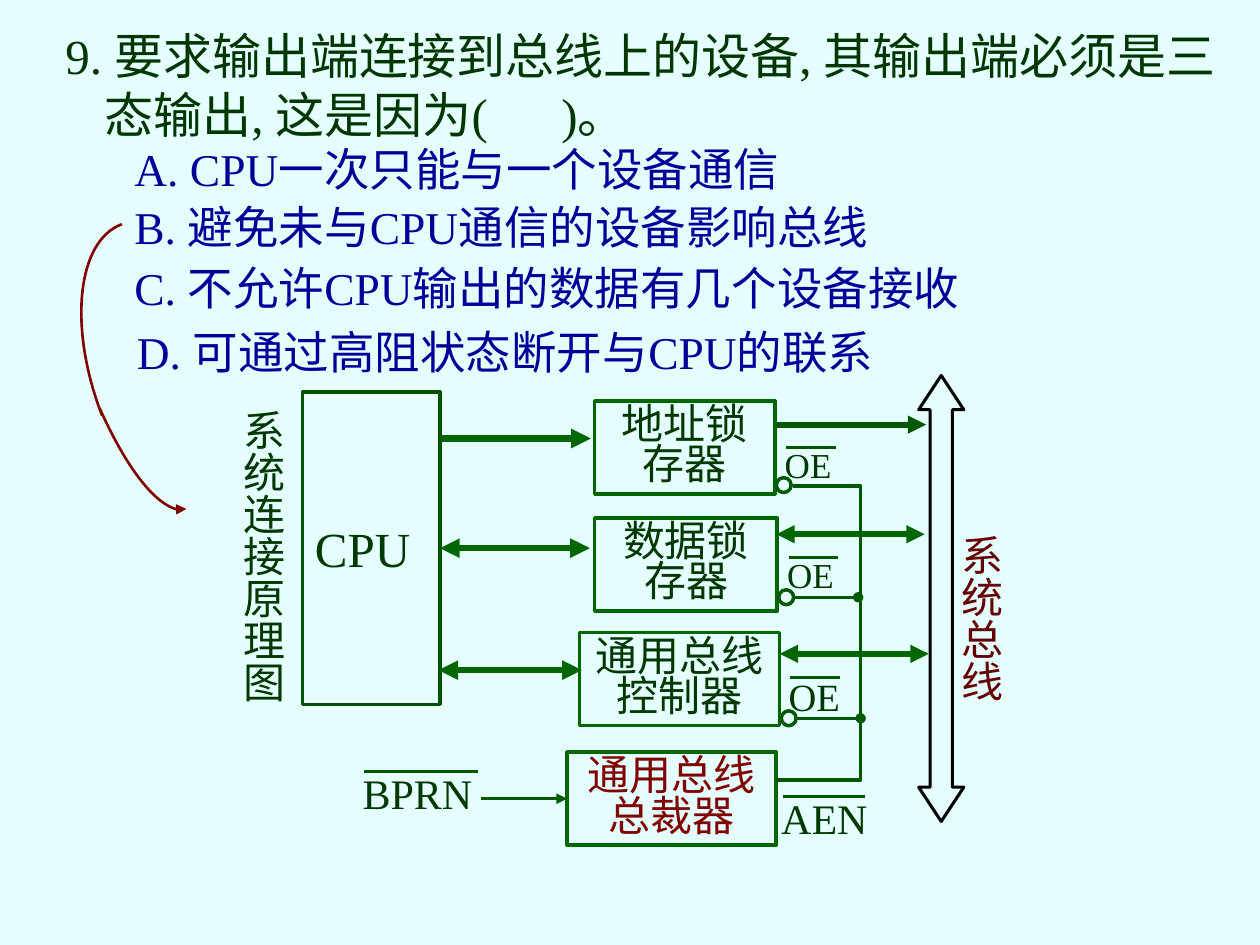
from lxml import etree
from pptx import Presentation, util as u
from pptx.dml.color import RGBColor
from pptx.enum import shapes, text
from pptx.oxml.ns import qn

FONT = "Times New Roman"
PALE, GREEN, DARK, INK = "E5FFFF", "006600", "005800", "003800"
BLUE, MAROON = "000099", "800000"


def color(value):
    return RGBColor.from_string(value)


def add_run(p, content, size, col):
    r = p.add_run()
    r.text = content
    r.font.size = u.Pt(size)
    r.font.name = FONT
    r.font.color.rgb = color(col)
    return r


def write(sp, content, size=24, col=INK, align=text.PP_ALIGN.LEFT, spacing=None,
          anchor=text.MSO_ANCHOR.TOP, vertical=False):
    """Put one formatted paragraph in a shape."""
    tf = sp.text_frame
    tf.word_wrap = True
    tf.auto_size = text.MSO_AUTO_SIZE.NONE
    tf.vertical_anchor = anchor
    tf.margin_left = tf.margin_right = u.Cm(0.13 if vertical else 0.25)
    tf.margin_top = tf.margin_bottom = u.Cm(0.25 if vertical else 0.13)
    if vertical:
        tf._txBody.bodyPr.set("vert", "eaVert")
    p = tf.paragraphs[0]
    p.alignment = align
    if spacing:
        p.line_spacing = spacing
    add_run(p, content, size, col)
    return p


def textbox(s, x, y, w, h, content, **fmt):
    write(s.shapes.add_textbox(u.Cm(x), u.Cm(y), u.Cm(w), u.Cm(h)), content, **fmt)


def style(sp, line, width, fill=None):
    sp.shadow.inherit = False
    if fill:
        sp.fill.solid()
        sp.fill.fore_color.rgb = color(fill)
    else:
        sp.fill.background()
    sp.line.color.rgb = color(line)
    sp.line.width = u.Pt(width)
    return sp


def shape(s, kind, x, y, w, h, line=GREEN, fill=None):
    sp = s.shapes.add_shape(kind, u.Cm(x), u.Cm(y), u.Cm(w), u.Cm(h))
    return style(sp, line, 2, fill)


def block(s, x, y, w, h, content, line=GREEN, **fmt):
    sp = shape(s, shapes.MSO_SHAPE.RECTANGLE, x, y, w, h, line, PALE)
    write(sp, content, **fmt)
    return sp


def add_ends(sp, head, tail):
    ln = sp.line._get_or_add_ln()
    for tag, kind in (("a:headEnd", head), ("a:tailEnd", tail)):
        if kind:
            etree.SubElement(ln, qn(tag)).set("type", kind)


def line(s, x1, x2, y, col=GREEN, width=3.75, head=None, tail=None):
    """Horizontal line, with optional ends."""
    c = s.shapes.add_connector(shapes.MSO_CONNECTOR.STRAIGHT,
                               u.Cm(x1), u.Cm(y), u.Cm(x2), u.Cm(y))
    c.line.color.rgb = color(col)
    c.line.width = u.Pt(width)
    add_ends(c, head, tail)
    etree.SubElement(c._element.spPr, qn("a:effectLst"))
    return c


def outline(s, points, col, width, fill=None, close=False):
    pts = [(u.Cm(x), u.Cm(y)) for x, y in points]
    fb = s.shapes.build_freeform(*pts[0])
    fb.add_line_segments(pts[1:], close=close)
    return style(fb.convert_to_shape(), col, width, fill)


def curve(s, points, tail=None):
    """Cubic curve: start, two control points, end."""
    sp = outline(s, points, MAROON, 1.5)
    segments = list(sp._element.iter(qn("a:lnTo")))
    bezier = etree.SubElement(segments[0].getparent(), qn("a:cubicBezTo"))
    for seg in segments:
        bezier.append(seg[0])
        seg.getparent().remove(seg)
    add_ends(sp, None, tail)


def signal(s, name, x, y, size, bar):
    """Active-low signal name with its overline."""
    textbox(s, x, y, 3.35, 1.27, name, size=size)
    line(s, x + 0.28, x + 0.28 + bar, y + 0.22, DARK, 1.75)


def question(s):
    # Stem in the title placeholder, with a widened space as the answer gap
    title = s.shapes.title
    title.left, title.top = u.Cm(1.07), u.Cm(0.38)
    title.width, title.height = u.Cm(23.7), u.Cm(2.64)
    stem = {"size": 28, "col": "003600"}
    p = write(title, "9. 要求输出端连接到总线上的设备, 其输出端必须是三态输出, 这是因为(", **stem)
    gap = add_run(p, " ", **stem)
    gap.font._element.set("spc", "3500")
    add_run(p, ")。", **stem)
    pPr = p._p.get_or_add_pPr()
    pPr.set("marL", str(u.Cm(0.79)))
    pPr.set("indent", str(u.Cm(-0.79)))

    # Answer options
    for x, y, option in ((2.46, 2.72, "A. CPU一次只能与一个设备通信"),
                         (2.46, 3.89, "B. 避免未与CPU通信的设备影响总线"),
                         (2.46, 5.11, "C. 不允许CPU输出的数据有几个设备接收"),
                         (2.51, 6.4, "D. 可通过高阻状态断开与CPU的联系")):
        textbox(s, x, y, 21.2, 1.37, option, size=26, col=BLUE)

    # Curved pointer from option B to the diagram
    curve(s, [(2.46, 4.52), (1.55, 4.85), (1.37, 6.6), (2.06, 8.38)])
    curve(s, [(2.01, 8.23), (2.59, 9.53), (3.38, 10.44), (3.76, 10.26)], "triangle")


def diagram(s):
    # Blocks
    cpu = block(s, 6.1, 7.9, 2.77, 6.3, "CPU", line="005100", size=28,
                anchor=text.MSO_ANCHOR.MIDDLE)
    for x, y, w, name, col in ((11.99, 8.08, 3.63, "地址锁存器", INK),
                               (11.99, 10.44, 3.68, "数据锁存器", INK),
                               (11.68, 12.75, 4.04, "通用总线控制器", INK),
                               (11.43, 15.16, 4.22, "通用总线总裁器", MAROON)):
        arbiter = block(s, x, y, w, 1.88, name, col=col, spacing=0.8,
                        align=text.PP_ALIGN.CENTER)

    # Vertical captions
    textbox(s, 18.9, 10.53, 1.52, 4.88, "系统总线", col="660000", vertical=True)
    textbox(s, 4.42, 8, 1.52, 6.63, "系统连接原理图", vertical=True)

    # CPU to blocks
    line(s, 8.92, 11.91, 8.84, tail="triangle")
    data = line(s, 8.87, 11.89, 11.05, head="triangle", tail="triangle")
    data.begin_connect(cpu, 3)
    line(s, 8.84, 11.73, 13.51, head="triangle", tail="triangle")

    # Blocks to system bus
    line(s, 15.65, 18.67, 8.56, DARK, 3.5, tail="triangle")
    line(s, 15.65, 18.64, 10.77, width=3.5, head="triangle", tail="triangle")
    line(s, 15.72, 18.72, 13.18, width=3.5, head="triangle", tail="triangle")

    # System bus: a double-headed arrow
    left, right, top, bottom, head, inset = 18.52, 19.43, 7.57, 16.56, 0.69, 0.23
    mid = (left + right) / 2
    up, down = top + head, bottom - head
    outline(s, [(mid, top), (left, up), (left + inset, up), (left + inset, down),
                (left, down), (mid, bottom), (right, down), (right - inset, down),
                (right - inset, up), (right, up)], "000000", 1.75, PALE, True)

    # Enable wiring with inverting circles and junction dots
    outline(s, [(15.65, 15.72), (17.35, 15.72), (17.35, 9.8), (15.98, 9.8)], DARK, 2)
    for x, y in ((15.65, 9.63), (15.7, 11.89), (15.75, 14.33)):
        shape(s, shapes.MSO_SHAPE.OVAL, x, y, 0.3, 0.3, DARK)
    line(s, 17.3, 15.98, 12.04, DARK, 1.7, head="oval")
    line(s, 17.35, 16.03, 14.48, DARK, 1.7, head="oval")

    # Signals
    signal(s, "OE", 15.57, 8.81, 20, 1)
    signal(s, "OE", 15.62, 11.02, 20, 1)
    signal(s, "OE", 15.65, 13.44, 22, 1)
    signal(s, "AEN", 15.5, 15.84, 24, 1.65)
    signal(s, "BPRN", 7.06, 15.34, 24, 2.29)
    request = line(s, 9.7, 11.43, 16.1, DARK, 2, tail="triangle")
    request.end_connect(arbiter, 1)


def main():
    prs = Presentation()
    prs.slide_width, prs.slide_height = u.Cm(25.4), u.Cm(19.05)
    s = prs.slides.add_slide(prs.slide_layouts[5])
    s.background.fill.solid()
    s.background.fill.fore_color.rgb = color(PALE)
    question(s)
    diagram(s)
    prs.save("out.pptx")


if __name__ == "__main__":
    main()
